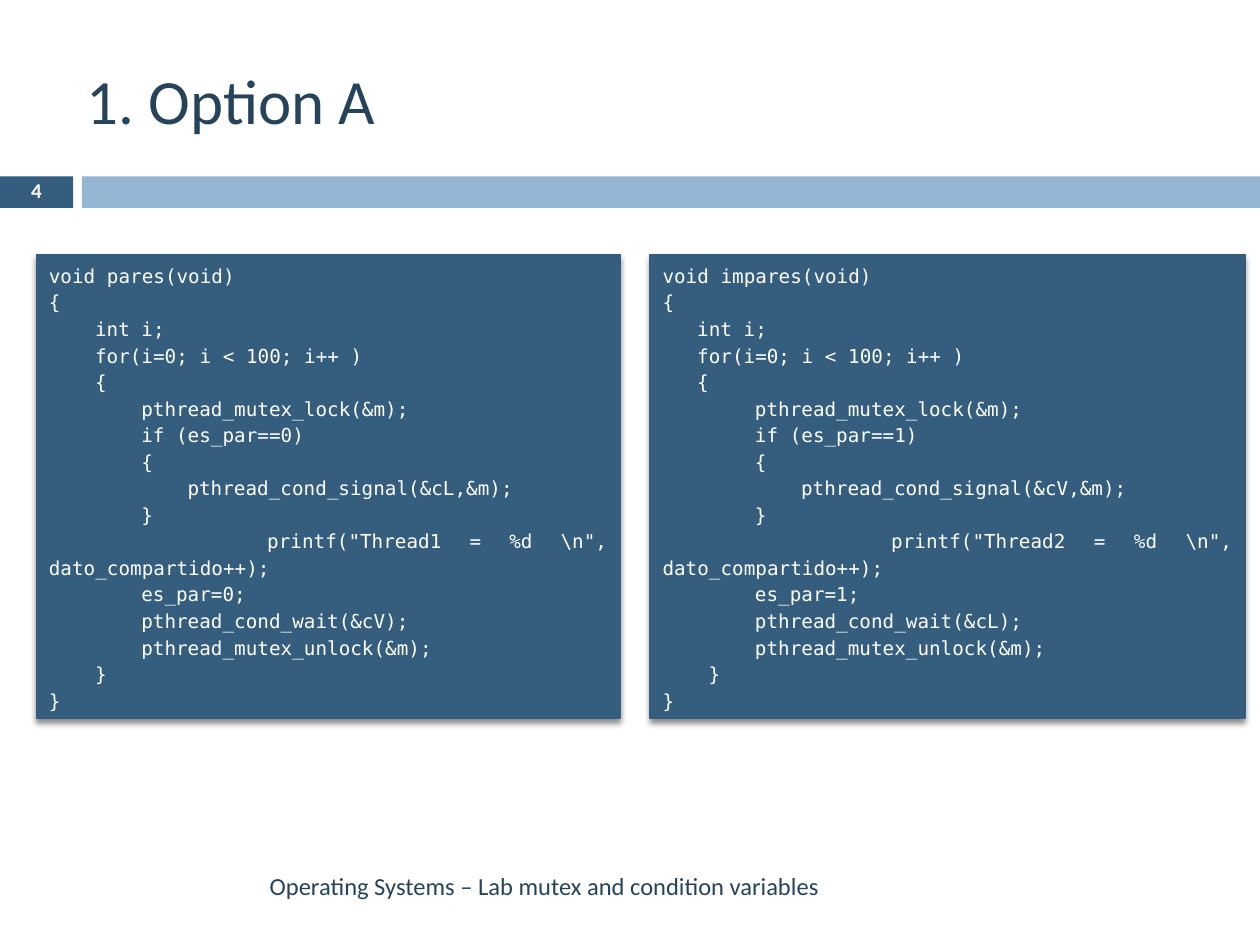
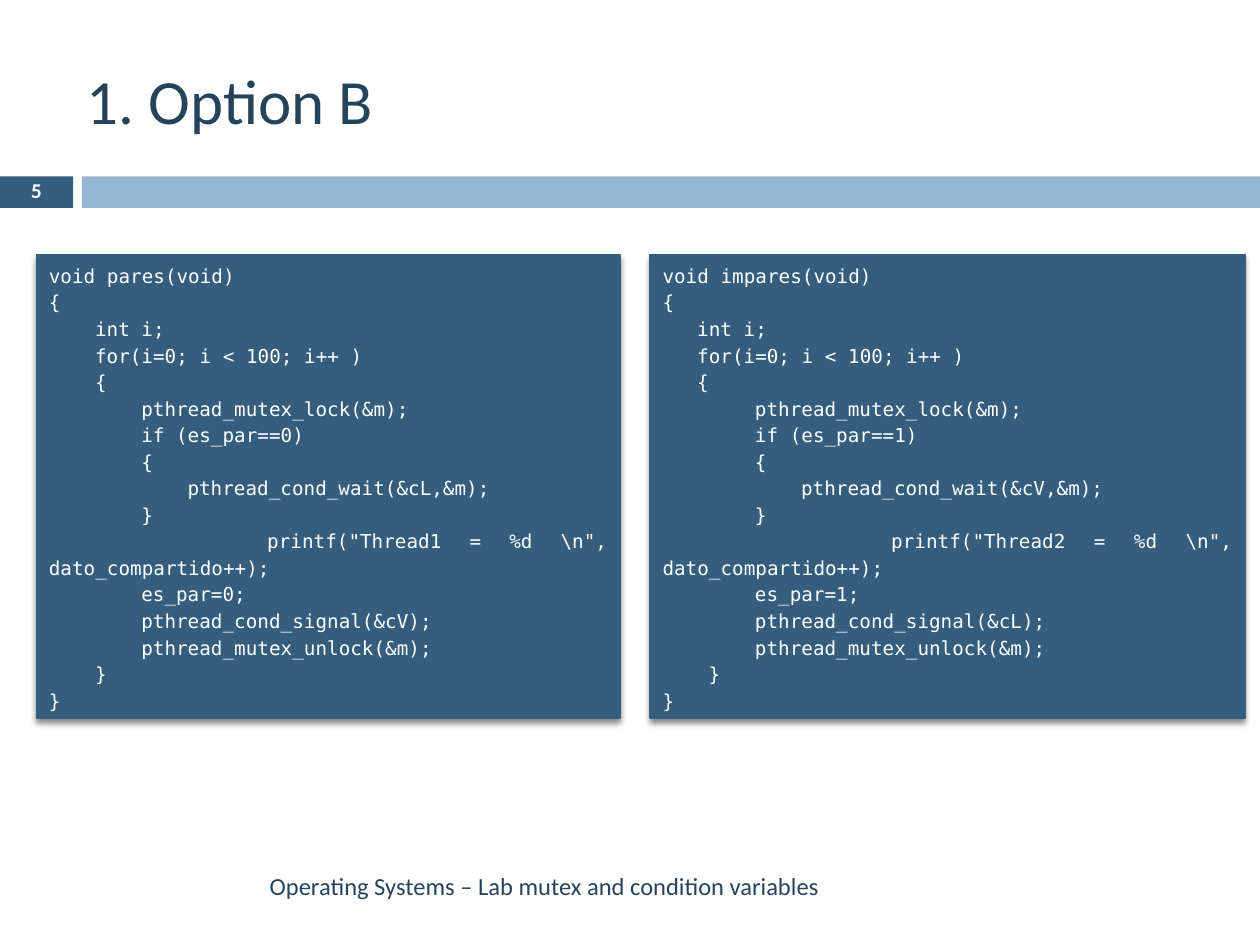
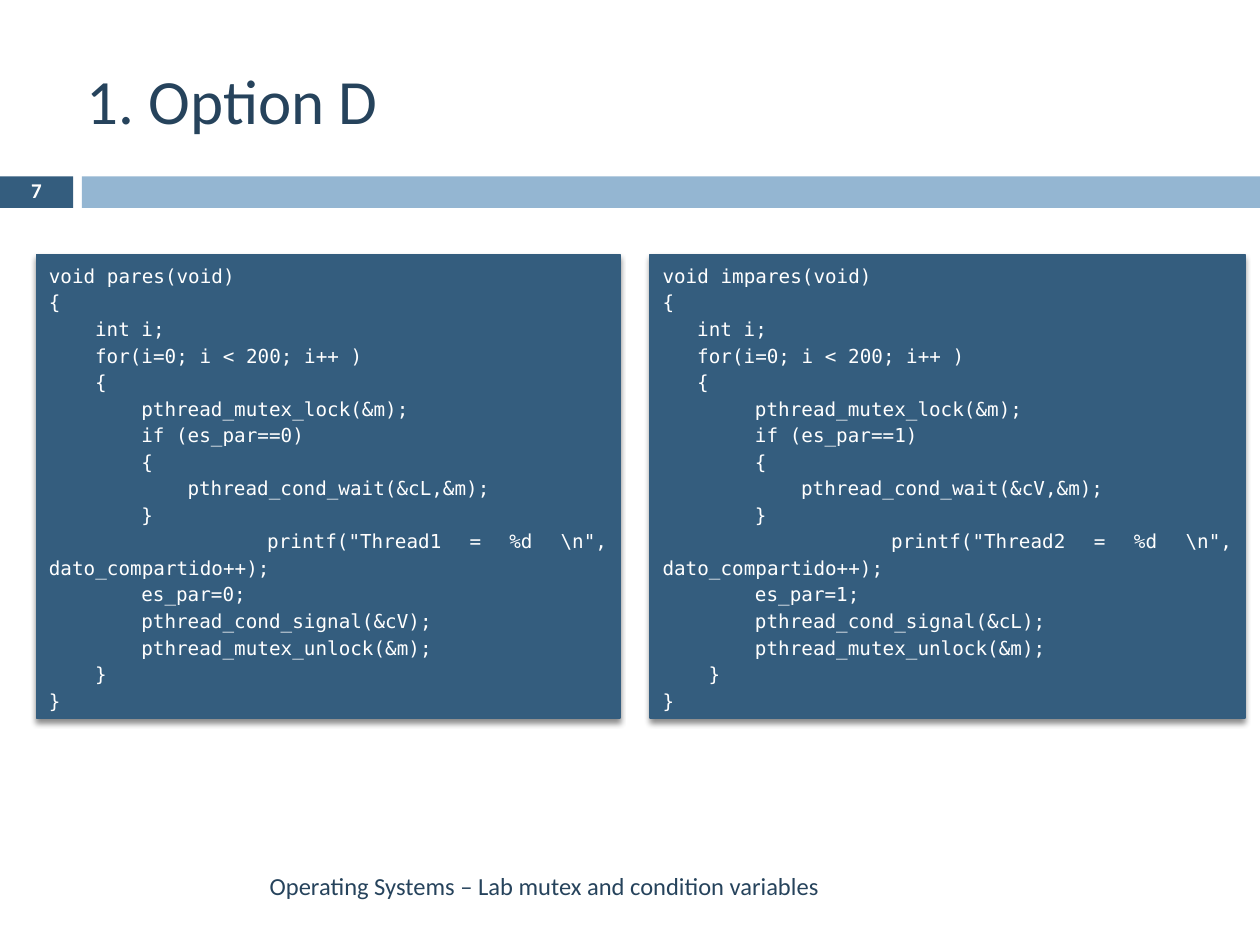
from dataclasses import dataclass

from lxml.etree import SubElement
from pptx import Presentation
from pptx.dml.color import RGBColor
from pptx.enum.shapes import MSO_SHAPE
from pptx.enum.text import MSO_ANCHOR, PP_ALIGN as ALIGN
from pptx.oxml.ns import qn
from pptx.util import Inches, Pt

SLIDE_WIDTH, SLIDE_HEIGHT = Inches(10), Inches(7.5)
COLUMN, ROW = SLIDE_WIDTH / 100, SLIDE_HEIGHT / 75

NAVY = RGBColor(0x26, 0x43, 0x5C)
STEEL = RGBColor(0x34, 0x5D, 0x7E)
SKY = RGBColor(0x94, 0xB6, 0xD2)
WHITE = RGBColor(0xFF, 0xFF, 0xFF)

BODY_FONT, CODE_FONT = "Calibri", "DejaVu Sans Mono"
CODE_SIZE = 11
CHARACTER = Pt(CODE_SIZE * 0.6)
FOOTER = "Operating Systems – Lab mutex and condition variables"


@dataclass
class Routine:
    name: str
    thread: int
    parity: int
    own_condition: str
    other_condition: str
    body_column: int
    print_column: float
    left: float
    width: float


EVEN = Routine("pares", 1, 0, "cL", "cV", 4, 18.9, 2.9, 46.3)
ODD = Routine("impares", 2, 1, "cV", "cL", 3, 19.8, 51.6, 47.2)

OPTIONS = [
    ("A", 4, 100, "signal", "wait"),
    ("B", 5, 100, "wait", "signal"),
    ("D", 7, 200, "wait", "signal"),
]


def grid_box(left, top, width, height):
    return (round(left * COLUMN), round(top * ROW),
            round(width * COLUMN), round(height * ROW))


def style_paragraph(paragraph, size, color, font=BODY_FONT, bold=False,
                    align=ALIGN.LEFT, spacing=1.0):
    paragraph.alignment = align
    paragraph.line_spacing = spacing
    for run in paragraph.runs:
        run.font.name = font
        run.font.size = Pt(size)
        run.font.bold = bold
        run.font.color.rgb = color


def add_label(slide, box, text, size, color, **style):
    label = slide.shapes.add_textbox(*grid_box(*box))
    frame = label.text_frame
    frame.word_wrap = True
    frame.vertical_anchor = MSO_ANCHOR.MIDDLE
    frame.text = text
    style_paragraph(frame.paragraphs[0], size, color, **style)


def add_block(slide, box, fill):
    block = slide.shapes.add_shape(MSO_SHAPE.RECTANGLE, *grid_box(*box))
    block.shadow.inherit = False
    block.fill.solid()
    block.fill.fore_color.rgb = fill
    block.line.fill.background()
    return block


def add_soft_shadow(block):
    effects = block._element.spPr.find(qn("a:effectLst"))
    shadow = SubElement(effects, qn("a:outerShdw"), blurRad=str(Pt(3)),
                        dist=str(Pt(2.4)), dir="5400000", rotWithShape="0")
    black = SubElement(shadow, qn("a:srgbClr"), val="000000")
    SubElement(black, qn("a:alpha"), val="45000")


def code_lines(routine, limit, inner_call, final_call):
    body = routine.body_column
    return [
        (0, f"void {routine.name}(void)"),
        (0, "{"),
        (body, "int i;"),
        (body, f"for(i=0; i < {limit}; i++ )"),
        (body, "{"),
        (8, "pthread_mutex_lock(&m);"),
        (8, f"if (es_par=={routine.parity})"),
        (8, "{"),
        (12, f"pthread_cond_{inner_call}(&{routine.own_condition},&m);"),
        (8, "}"),
        (routine.print_column,
         rf'printf("Thread{routine.thread} = %d \n", dato_compartido++);'),
        (8, f"es_par={routine.parity};"),
        (8, f"pthread_cond_{final_call}(&{routine.other_condition});"),
        (8, "pthread_mutex_unlock(&m);"),
        (4, "}"),
        (0, "}"),
    ]


def add_code_panel(slide, routine, lines):
    panel = add_block(slide, (routine.left, 20.2, routine.width, 36.8), STEEL)
    panel.line.color.rgb = STEEL
    panel.line.width = Pt(0.79)
    add_soft_shadow(panel)
    frame = panel.text_frame
    frame.word_wrap = True
    frame.vertical_anchor = MSO_ANCHOR.MIDDLE
    frame.text = "\n".join(text for _, text in lines)
    for paragraph, (indent, _) in zip(frame.paragraphs, lines):
        style_paragraph(paragraph, CODE_SIZE, WHITE, font=CODE_FONT,
                        align=ALIGN.JUSTIFY, spacing=1.15)
        properties = paragraph._p.get_or_add_pPr()
        properties.set("marL", "0")
        properties.set("indent", str(round(indent * CHARACTER)))


def add_option_slide(deck, option, number, limit, inner_call, final_call):
    slide = deck.slides.add_slide(deck.slide_layouts[6])
    add_block(slide, (0, 14, 5.8, 2.5), STEEL)
    add_block(slide, (6.5, 14, 93.5, 2.5), SKY)
    add_label(slide, (5.9, 2.5, 95.3, 10.8), f"1. Option {option}", 36, NAVY)
    add_label(slide, (0, 13.9, 5.8, 2.7), str(number), 12, WHITE,
              bold=True, align=ALIGN.CENTER, spacing=0.8)
    add_label(slide, (6.7, 68.3, 59.3, 4), FOOTER, 14, NAVY, align=ALIGN.RIGHT)
    for routine in (EVEN, ODD):
        lines = code_lines(routine, limit, inner_call, final_call)
        add_code_panel(slide, routine, lines)


def main():
    deck = Presentation()
    deck.slide_width, deck.slide_height = SLIDE_WIDTH, SLIDE_HEIGHT
    for option in OPTIONS:
        add_option_slide(deck, *option)
    deck.save("out.pptx")


if __name__ == "__main__":
    main()
